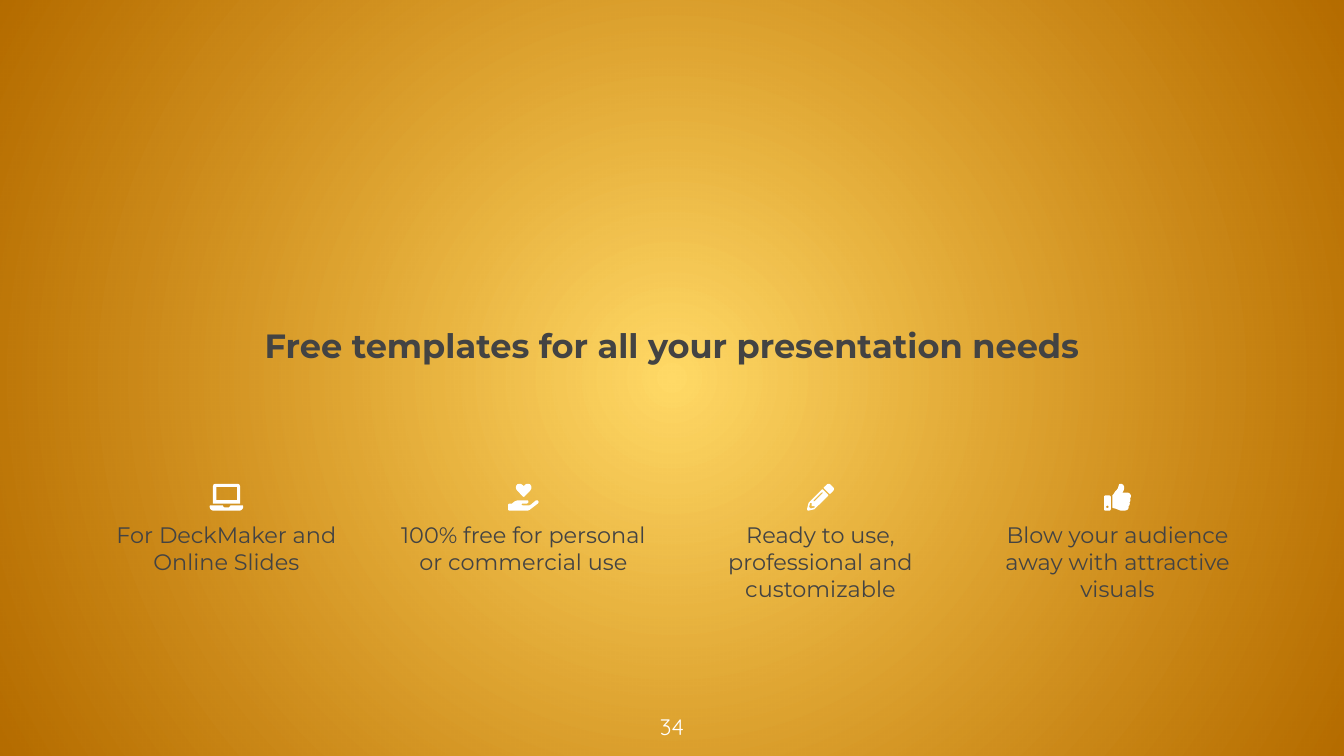
from pptx import Presentation
from pptx.dml.color import RGBColor
from pptx.enum.shapes import MSO_SHAPE
from pptx.enum.text import MSO_ANCHOR, MSO_AUTO_SIZE, PP_ALIGN
from pptx.oxml import parse_xml
from pptx.oxml.ns import nsdecls, qn
from pptx.util import Pt

RECTANGLE = MSO_SHAPE.RECTANGLE
TOP, MIDDLE = MSO_ANCHOR.TOP, MSO_ANCHOR.MIDDLE
CENTER = PP_ALIGN.CENTER
NO_AUTOFIT = MSO_AUTO_SIZE.NONE

WIDTH, HEIGHT = 720, 405
ICON_UNIT = 0.072  # points per icon grid step
COLUMN_LEFT, COLUMN_STEP, COLUMN_WIDTH = 54.72, 159.12, 133.2
ICON_TOP, CAPTION_TOP, CAPTION_HEIGHT = 259.2, 279.36, 50.4

# Each icon is a list of closed outlines; an outline inside another is a hole.
LAPTOP = [
    [(50, 24), (204, 24), (204, 122), (50, 122)],
    [(40, 0), (210, 0), (221, 5), (227, 18), (227, 147), (24, 147), (24, 18),
     (30, 5)],
    [(5, 160), (96, 160), (100, 163), (103, 172), (108, 175), (145, 175),
     (151, 168), (156, 160), (246, 160), (250, 165), (250, 174), (246, 186),
     (237, 195), (225, 200), (25, 200), (13, 195), (4, 186), (0, 174),
     (0, 165)],
]
HAND_WITH_HEART = [
    [(80, 0), (68, 4), (60, 14), (57, 26), (59, 38), (65, 49), (110, 96),
     (115, 98), (120, 96), (165, 49), (171, 38), (173, 26), (170, 14),
     (162, 4), (150, 0), (138, 1), (127, 6), (115, 17), (103, 6), (92, 1)],
    [(80, 123), (63, 125), (45, 133), (28, 148), (6, 148), (0, 154), (0, 194),
     (6, 200), (145, 200), (160, 194), (222, 146), (226, 138), (225, 130),
     (219, 124), (211, 123), (203, 126), (170, 154), (160, 160), (106, 160),
     (100, 157), (100, 150), (106, 147), (138, 147), (146, 144), (151, 137),
     (150, 129), (145, 124), (138, 123)],
]
PENCIL = [
    [(160, 0), (150, 3), (126, 26), (124, 30), (126, 34), (166, 74), (170, 75),
     (174, 74), (196, 52), (200, 43), (200, 34), (196, 27), (173, 4), (166, 0)],
    [(115, 64), (118, 68), (115, 72), (57, 130), (50, 131), (48, 124),
     (106, 66)],
    [(34, 143), (34, 166), (57, 166), (57, 177), (27, 185), (15, 173),
     (23, 143)],
    [(115, 42), (110, 43), (12, 141), (0, 188), (2, 197), (10, 200), (55, 190),
     (157, 90), (158, 85), (157, 82), (119, 43)],
]
THUMB_UP = [
    [(25, 162), (32, 165), (34, 172), (32, 179), (25, 181), (18, 179),
     (16, 172), (18, 165)],
    [(9, 87), (3, 90), (0, 96), (0, 191), (3, 197), (9, 200), (41, 200),
     (47, 197), (50, 191), (50, 96), (47, 90), (41, 87)],
    [(118, 0), (112, 4), (109, 14), (104, 32), (95, 45), (85, 55), (72, 75),
     (63, 85), (62, 90), (62, 175), (64, 180), (72, 182), (88, 186),
     (110, 195), (125, 200), (155, 200), (170, 196), (180, 188), (183, 176),
     (182, 168), (190, 158), (192, 146), (190, 138), (196, 128), (197, 118),
     (194, 109), (199, 100), (200, 88), (195, 76), (186, 69), (175, 66),
     (136, 66), (145, 52), (150, 35), (149, 20), (143, 8), (132, 1)],
]
FEATURES = [
    (LAPTOP, "For DeckMaker and Online Slides"),
    (HAND_WITH_HEART, "100% free for personal or commercial use"),
    (PENCIL, "Ready to use, professional and customizable"),
    (THUMB_UP, "Blow your audience away with attractive visuals"),
]


def color(value):
    return RGBColor.from_string(value)


def write_text(shape, text, size=12, font="Montserrat", fill="434343",
               bold=False, anchor=TOP, inset=0):
    frame = shape.text_frame
    frame.auto_size = NO_AUTOFIT
    frame.word_wrap = True
    frame.vertical_anchor = anchor
    frame.margin_left = frame.margin_right = Pt(inset)
    frame.margin_top = frame.margin_bottom = Pt(inset)
    frame.text = text
    paragraph = frame.paragraphs[0]
    paragraph.alignment = CENTER
    paragraph.font.size = Pt(size)
    paragraph.font.name = font
    paragraph.font.bold = bold
    paragraph.font.color.rgb = color(fill)


def fill_radially(owner, inner, outer):
    """Fill a background or shape from its centre; stops are (colour, opacity %)."""
    owner.fill.gradient()
    stops = "".join(
        f'<a:gs pos="{position}"><a:srgbClr val="{value}">'
        f'<a:alpha val="{opacity * 1000}"/></a:srgbClr></a:gs>'
        for position, (value, opacity) in ((0, inner), (100000, outer)))
    gradient = parse_xml(
        f'<a:gradFill {nsdecls("a")} rotWithShape="1"><a:gsLst>{stops}</a:gsLst>'
        '<a:path path="circle"><a:fillToRect l="50000" t="50000" r="50000" '
        'b="50000"/></a:path></a:gradFill>')
    plain = next(owner.element.iter(qn("a:gradFill")))
    plain.getparent().replace(plain, gradient)


class SlideBuilder:
    """Holds the icon colour and the current slide."""

    def __init__(self, slide, icon_fill="FFFFFF"):
        self.slide = slide
        self.icon_fill = icon_fill

    def background(self, inner, outer):
        background = self.slide.background
        background.fill.gradient()
        fill_radially(BackgroundOwner(background.fill, self.slide.element),
                      inner, outer)

    def vignette(self, inner, outer):
        """Cover the slide with a radial shade behind everything else."""
        shape = self.slide.shapes.add_shape(RECTANGLE, 0, 0, Pt(WIDTH), Pt(HEIGHT))
        shape.shadow.inherit = False
        shape.line.fill.background()
        fill_radially(shape, inner, outer)
        self.slide.shapes.title.element.addprevious(shape.element)

    def title(self, text, left, top, width, height, **style):
        title = self.slide.shapes.title
        title.left, title.top = Pt(left), Pt(top)
        title.width, title.height = Pt(width), Pt(height)
        write_text(title, text, **style)

    def text(self, text, left, top, width, height, **style):
        box = self.slide.shapes.add_textbox(Pt(left), Pt(top), Pt(width), Pt(height))
        write_text(box, text, **style)

    def icon(self, outlines, center, top):
        icon_width = max(x for outline in outlines for x, _ in outline) * ICON_UNIT
        builder = self.slide.shapes.build_freeform(*outlines[0][0], scale=Pt(ICON_UNIT))
        builder.add_line_segments(outlines[0][1:])
        for outline in outlines[1:]:
            builder.move_to(*outline[0])
            builder.add_line_segments(outline[1:])
        shape = builder.convert_to_shape(Pt(center - icon_width / 2), Pt(top))
        shape.shadow.inherit = False
        shape.fill.solid()
        shape.fill.fore_color.rgb = color(self.icon_fill)
        shape.line.fill.background()


class BackgroundOwner:
    """Pairs the background fill with the element that contains it."""

    def __init__(self, fill, element):
        self.fill = fill
        self.element = element


def main():
    presentation = Presentation()
    presentation.slide_width, presentation.slide_height = Pt(WIDTH), Pt(HEIGHT)
    slide = presentation.slides.add_slide(presentation.slide_layouts[5])
    builder = SlideBuilder(slide)

    builder.background(("FFD966", 100), ("FF9900", 100))
    builder.vignette(("000000", 0), ("000000", 30))
    builder.title("Free templates for all your presentation needs",
                  87.12, 174.24, 545.76, 20.88, size=18, bold=True)
    for index, (outlines, caption) in enumerate(FEATURES):
        left = COLUMN_LEFT + index * COLUMN_STEP
        builder.icon(outlines, left + COLUMN_WIDTH / 2, ICON_TOP)
        builder.text(caption, left, CAPTION_TOP, COLUMN_WIDTH, CAPTION_HEIGHT)
    builder.text("34", 338.4, 373.68, 43.2, 30.96, font="Quicksand",
                 fill="FFFFFF", anchor=MIDDLE, inset=7.2)
    presentation.save("out.pptx")


if __name__ == "__main__":
    main()
